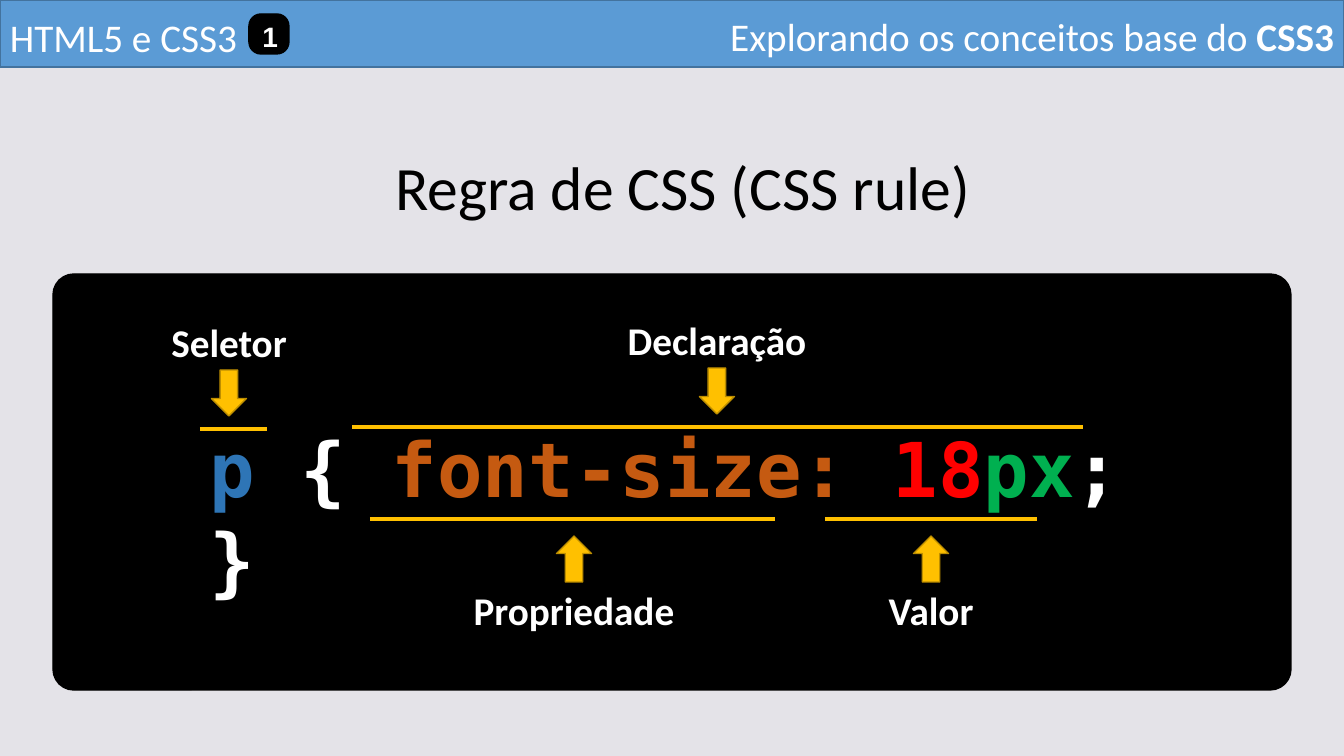
from lxml.etree import SubElement
from pptx import Presentation
from pptx.dml.color import RGBColor
from pptx.enum.shapes import MSO_CONNECTOR, MSO_SHAPE
from pptx.enum.text import MSO_ANCHOR as ANCHOR, MSO_AUTO_SIZE as AUTO_SIZE, PP_ALIGN as ALIGN
from pptx.oxml.ns import qn
from pptx.util import Pt

EMU_PER_PX = 914400 / 100.8
SLIDE_WIDTH, SLIDE_HEIGHT = 1344, 756
TITLE_ONLY = 5

BACKGROUND = "E4E3E8"
BLACK, WHITE = "000000", "FFFFFF"
BLUE, BLUE_EDGE = "5B9BD5", "43739E"
GOLD, GOLD_EDGE = "FFC000", "BD8E00"

ARROW_WIDTH, ARROW_HEIGHT = 35, 46
LABEL_HEIGHT = 57

CODE_RUNS = [
    ("p", "2E75B6", True),
    (" { ", WHITE, True),
    ("font-size: ", "C55A11", True),
    ("18", "FF0000", True),
    ("px", "00B050", True),
    ("; }", WHITE, True),
]

# label, label width, arrow centre, rule start, rule end, rule y, label above the rule
CALLOUTS = [
    ("Seletor", 138, 229, 200, 267, 429, True),
    ("Declaração", 200, 717, 352, 1083, 427, True),
    ("Propriedade", 221, 574, 370, 775, 519, False),
    ("Valor", 105, 931, 825, 1037, 519, False),
]


def px(*lengths):
    return [round(length * EMU_PER_PX) for length in lengths]


def color(hex_string):
    return RGBColor.from_string(hex_string)


def add_box(shapes, kind, box, fill, edge, corner=None):
    shape = shapes.add_shape(kind, *px(*box))
    shape.shadow.inherit = False
    shape.fill.solid()
    shape.fill.fore_color.rgb = color(fill)
    shape.line.color.rgb = color(edge)
    shape.line.width = Pt(1)
    if corner is not None:
        shape.adjustments[0] = corner
    return shape


def write(shape, runs, size, font="Calibri", align=ALIGN.LEFT, wrap=False,
          anchor=ANCHOR.TOP, spacing=1.0):
    """Fill a shape with one paragraph of (text, colour, bold) runs."""
    frame = shape.text_frame
    frame.word_wrap = wrap
    frame.auto_size = AUTO_SIZE.NONE
    frame.vertical_anchor = anchor
    paragraph = frame.paragraphs[0]
    paragraph.alignment = align
    paragraph.line_spacing = spacing
    for text, hex_string, bold in runs:
        run = paragraph.add_run()
        run.text = text
        run.font.name = font
        run.font.size = Pt(size)
        run.font.bold = bold
        run.font.color.rgb = color(hex_string)


def add_text(shapes, box, runs, size, **options):
    write(shapes.add_textbox(*px(*box)), runs, size, **options)


def add_rule(shapes, start, end, y):
    rule = shapes.add_connector(MSO_CONNECTOR.STRAIGHT, *px(start, y, end, y))
    rule.line.color.rgb = color(GOLD)
    rule.line.width = Pt(3)
    SubElement(rule._element.spPr, qn("a:effectLst"))


def add_callout(slide, label, width, center, start, end, y, above):
    """Group a label, its arrow and the rule that marks a part of the code."""
    shapes = slide.shapes.add_group_shape().shapes
    arrow_top, label_top = (y - 59, y - 116) if above else (y + 17, y + 62)
    arrow_box = (center - ARROW_WIDTH / 2, arrow_top, ARROW_WIDTH, ARROW_HEIGHT)
    arrow = add_box(shapes, MSO_SHAPE.DOWN_ARROW, arrow_box, GOLD, GOLD_EDGE)
    arrow.rotation = 0 if above else 180
    add_text(shapes, (center - width / 2, label_top, width, LABEL_HEIGHT),
             [(label, WHITE, True)], 28, align=ALIGN.CENTER)
    add_rule(shapes, start, end, y)


def add_header(shapes):
    add_box(shapes, MSO_SHAPE.RECTANGLE, (0, 0, SLIDE_WIDTH, 67), BLUE, BLUE_EDGE)
    add_text(shapes, (0, 8, 249, LABEL_HEIGHT), [("HTML5 e CSS3", WHITE, False)], 28)
    badge = add_box(shapes, MSO_SHAPE.ROUNDED_RECTANGLE, (249, 14, 40, 40),
                    BLACK, BLACK, corner=0.3)
    write(badge, [("1", WHITE, True)], 20, font="Arial", align=ALIGN.CENTER,
          wrap=True, anchor=ANCHOR.MIDDLE, spacing=Pt(27))
    topic = [("Explorando os conceitos base do ", WHITE, False), ("CSS3", WHITE, True)]
    add_text(shapes, (708, 7, 636, LABEL_HEIGHT), topic, 28, align=ALIGN.RIGHT)


def add_title(slide):
    title = slide.shapes.title
    title.left, title.top, title.width, title.height = px(385, 144, 629, 85)
    write(title, [("Regra de CSS (CSS rule)", BLACK, False)], 44, wrap=True)


def main():
    presentation = Presentation()
    presentation.slide_width, presentation.slide_height = px(SLIDE_WIDTH, SLIDE_HEIGHT)
    slide = presentation.slides.add_slide(presentation.slide_layouts[TITLE_ONLY])
    slide.background.fill.solid()
    slide.background.fill.fore_color.rgb = color(BACKGROUND)

    add_box(slide.shapes, MSO_SHAPE.ROUNDED_RECTANGLE, (53, 274, 1238, 416),
            BLACK, BLACK, corner=0.05)
    add_header(slide.shapes)
    add_title(slide)
    add_text(slide.shapes, (200, 417, 946, 102), CODE_RUNS, 54,
             font="DejaVu Sans Mono", wrap=True)
    for callout in CALLOUTS:
        add_callout(slide, *callout)
    presentation.save("out.pptx")


if __name__ == "__main__":
    main()
